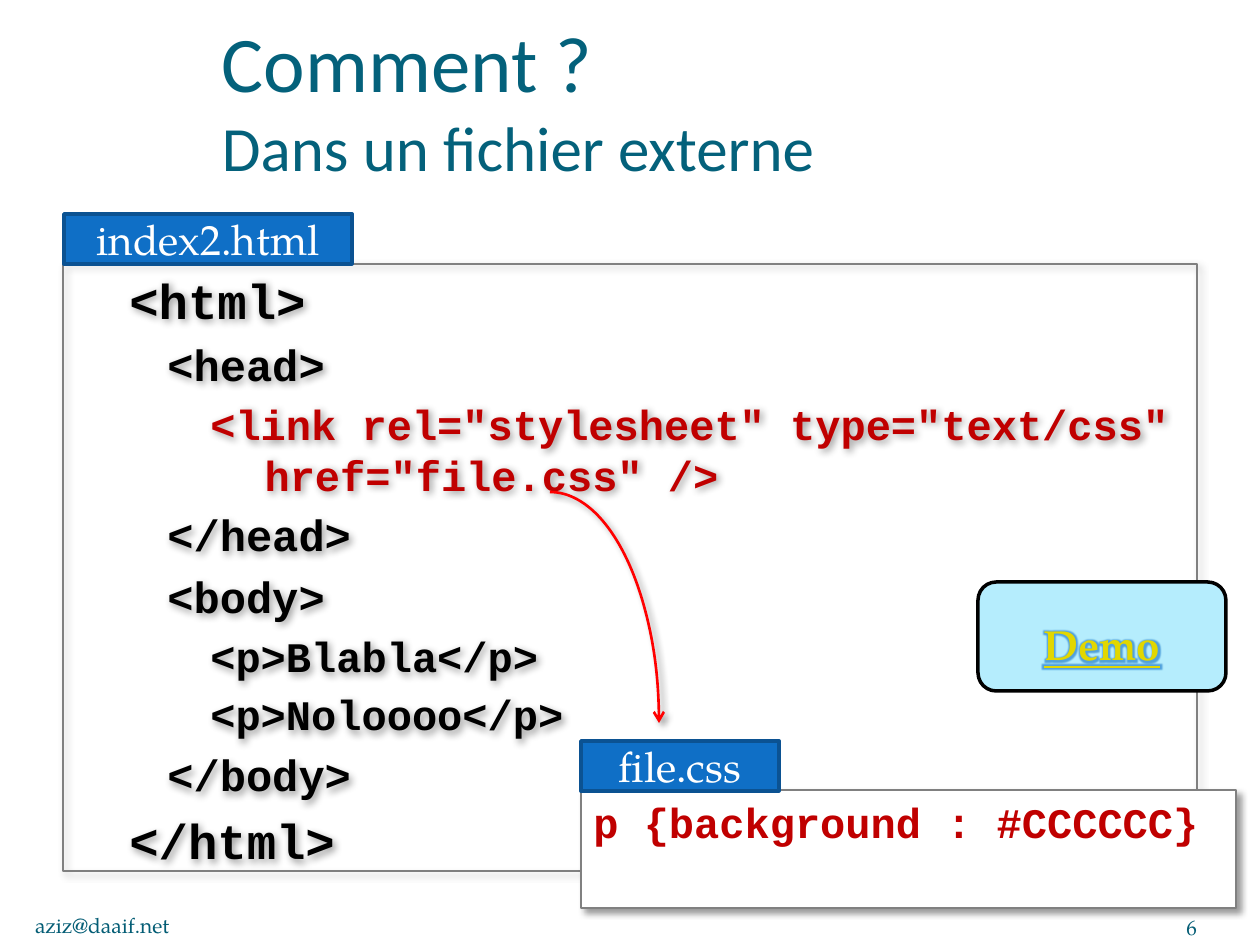
from lxml import etree
from pptx import Presentation
from pptx.dml.color import RGBColor
from pptx.enum.shapes import MSO_SHAPE
from pptx.enum.text import MSO_ANCHOR, MSO_AUTO_SIZE, PP_ALIGN
from pptx.oxml import parse_xml
from pptx.oxml.ns import nsdecls, qn
from pptx.util import Emu, Pt

RECT, ROUND, ARC = MSO_SHAPE.RECTANGLE, MSO_SHAPE.ROUNDED_RECTANGLE, MSO_SHAPE.ARC
TOP, MIDDLE, BOTTOM = MSO_ANCHOR.TOP, MSO_ANCHOR.MIDDLE, MSO_ANCHOR.BOTTOM
LEFT, CENTER, RIGHT = PP_ALIGN.LEFT, PP_ALIGN.CENTER, PP_ALIGN.RIGHT

PX_PER_INCH = 126
HEADING, SERIF, CODE = "Calibri", "TeX Gyre Pagella", "Courier New"
BLACK, WHITE, GREY, RED = "000000", "FFFFFF", "808080", "C00000"
TEAL, FOOTER = "04617B", "045D75"

# Text size, left margin and first-line indent of each code level
LEVELS = {1: (28, 88, -34), 2: (25, 126, -34), 3: (24, 164, -29)}
HTML_LINES = [
    (1, "<html>", BLACK),
    (2, "<head>", BLACK),
    (3, '<link rel="stylesheet" type="text/css"  href="file.css" />', RED),
    (2, "</head>", BLACK),
    (2, "<body>", BLACK),
    (3, "<p>Blabla</p>", BLACK),
    (3, "<p>Noloooo</p>", BLACK),
    (2, "</body>", BLACK),
    (1, "</html>", BLACK),
]


def px(n):
    return Emu(round(n * 914400 / PX_PER_INCH))


def rgb(color):
    return RGBColor.from_string(color)


def add_shadow(shape):
    effects = shape._element.spPr.find(qn("a:effectLst"))
    effects.append(parse_xml(
        f'<a:outerShdw {nsdecls("a")} blurRad="50800" dist="38100" dir="2700000" '
        'algn="tl" rotWithShape="0"><a:srgbClr val="000000">'
        '<a:alpha val="40000"/></a:srgbClr></a:outerShdw>'))


def add_box(slide, kind, box, fill=None, line=BLACK, width=1.0, shadow=False):
    shape = slide.shapes.add_shape(kind, *map(px, box))
    shape.shadow.inherit = False
    if fill:
        shape.fill.solid()
        shape.fill.fore_color.rgb = rgb(fill)
    else:
        shape.fill.background()
    shape.line.color.rgb = rgb(line)
    shape.line.width = Pt(width)
    if shadow:
        add_shadow(shape)
    return shape


def set_frame(shape, anchor=TOP, insets=None):
    frame = shape.text_frame
    frame.word_wrap = True
    frame.auto_size = MSO_AUTO_SIZE.NONE
    frame.vertical_anchor = anchor
    if insets:
        (frame.margin_left, frame.margin_top,
         frame.margin_right, frame.margin_bottom) = map(px, insets)
    return frame


def write(paragraph, text, size, font=SERIF, color=BLACK, align=LEFT,
          bold=False, underline=False):
    paragraph.alignment = align
    run = paragraph.add_run()
    run.text = text
    run.font.size = Pt(size)
    run.font.name = font
    run.font.bold = bold
    run.font.underline = underline
    run.font.color.rgb = rgb(color)
    return run


def add_file_tab(slide, name, box):
    tab = add_box(slide, RECT, box, fill="0F6FC6", line="0B5292", width=2)
    write(set_frame(tab, MIDDLE).paragraphs[0], name, 24, color=WHITE, align=CENTER)


def add_footer(slide, text, box, align):
    note = slide.shapes.add_textbox(*map(px, box))
    frame = set_frame(note, BOTTOM, (0, 0, 0, 0))
    write(frame.paragraphs[0], text, 12, color=FOOTER, align=align)


def add_title(slide):
    title = slide.shapes.title
    title.left, title.top, title.width, title.height = map(px, (222, 26, 984, 158))
    heading = set_frame(title, BOTTOM, (0, 6, 0, 0)).paragraphs[0]
    write(heading, "Comment ? ", 45, HEADING, TEAL)
    heading.add_line_break()
    write(heading, "Dans un fichier externe", 36, HEADING, TEAL)


def add_html_listing(slide):
    listing = add_box(slide, RECT, (63, 264, 1134, 607), line=GREY, width=0.75,
                      shadow=True)
    frame = set_frame(listing)
    for i, (level, code, color) in enumerate(HTML_LINES):
        paragraph = frame.add_paragraph() if i else frame.paragraphs[0]
        size, margin, indent = LEVELS[level]
        write(paragraph, code, size, CODE, color, bold=True)
        paragraph.level = level - 1
        paragraph.space_before = Pt(size * 0.2)
        properties = paragraph._p.get_or_add_pPr()
        properties.set("marL", str(px(margin)))
        properties.set("indent", str(px(indent)))


def add_css_listing(slide):
    listing = add_box(slide, RECT, (581, 790, 655, 118), fill=WHITE, line=GREY,
                      width=0.75, shadow=True)
    write(set_frame(listing).paragraphs[0], "p {background : #CCCCCC}", 24, CODE,
          RED, bold=True)


def add_link_arrow(slide):
    arrow = add_box(slide, ARC, (441, 492, 218, 462), line="FF0000", width=1.5,
                    shadow=True)
    etree.SubElement(arrow.line._get_or_add_ln(), qn("a:tailEnd"), type="arrow")


def add_demo_button(slide):
    button = add_box(slide, ROUND, (978, 582, 248, 109), fill="B5EDFD", width=2)
    label = set_frame(button).paragraphs[0]
    label.line_spacing = 1.5
    run = write(label, "Demo", 24, color="E2D700", align=CENTER, bold=True,
                underline=True)
    # Blue glow around the letters
    run.font._element.find(qn("a:solidFill")).addnext(parse_xml(
        f'<a:effectLst {nsdecls("a")}><a:glow rad="63500"><a:srgbClr val="0F6FC6">'
        '<a:alpha val="60000"/></a:srgbClr></a:glow></a:effectLst>'))


def main():
    deck = Presentation()
    deck.slide_width, deck.slide_height = px(1260), px(945)
    slide = deck.slides.add_slide(deck.slide_layouts[5])

    add_title(slide)

    # The page and the style sheet it links to
    add_html_listing(slide)
    add_css_listing(slide)
    add_file_tab(slide, "index2.html", (64, 214, 288, 50))
    add_file_tab(slide, "file.css", (581, 741, 198, 50))

    # Footer
    add_footer(slide, "6", (1092, 890, 105, 50), RIGHT)
    add_footer(slide, "aziz@daaif.net", (35, 888, 462, 50), LEFT)

    add_link_arrow(slide)
    add_demo_button(slide)
    deck.save("out.pptx")


if __name__ == "__main__":
    main()
